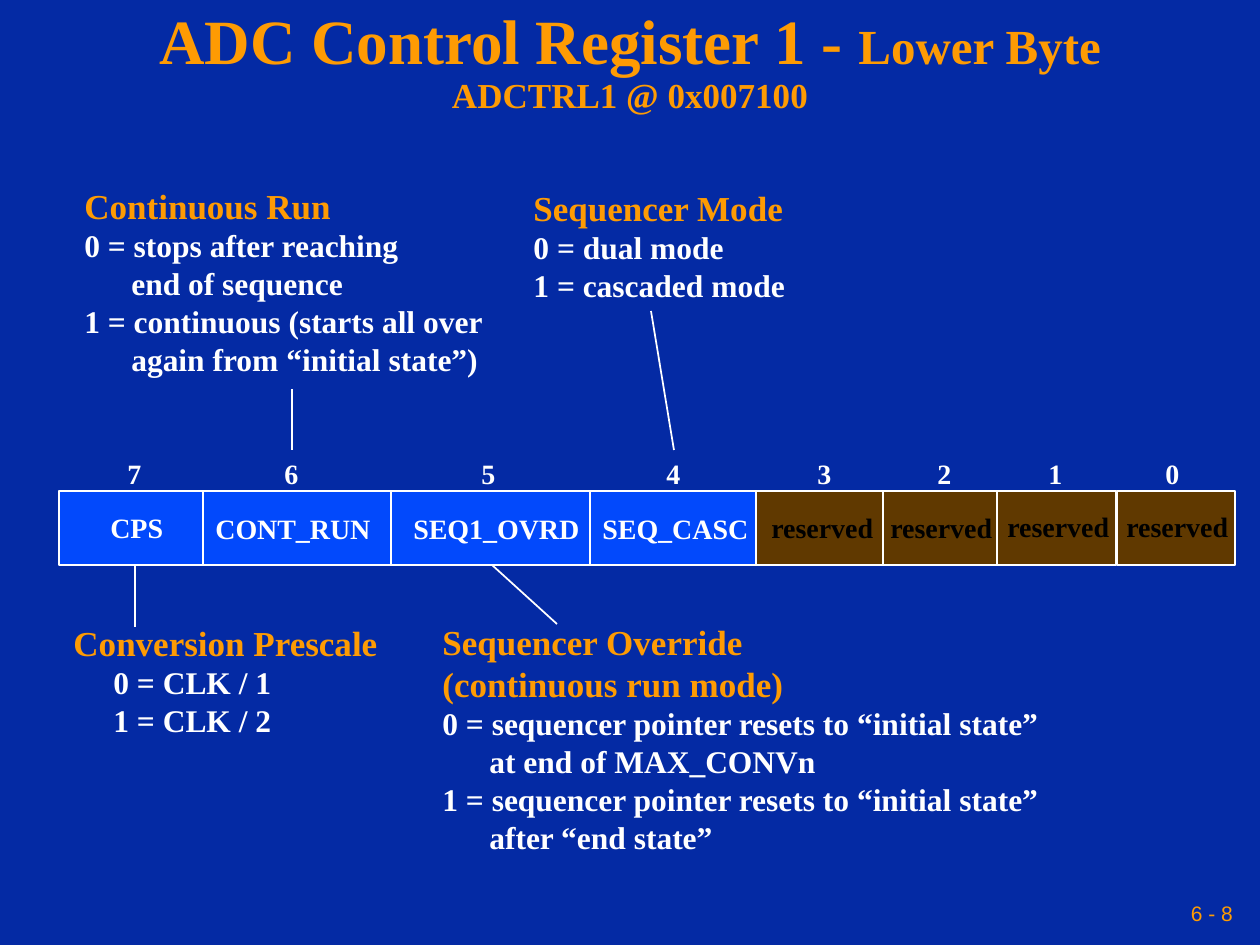
from dataclasses import dataclass

from lxml.etree import SubElement
from pptx import Presentation
from pptx.dml.color import RGBColor
from pptx.enum.shapes import MSO_CONNECTOR as Connector, MSO_SHAPE as Preset
from pptx.enum.text import MSO_ANCHOR as Anchor, MSO_AUTO_SIZE as AutoSize, PP_ALIGN as Align
from pptx.oxml.ns import qn
from pptx.shapes.autoshape import Shape
from pptx.slide import Slide
from pptx.text.text import _Paragraph as Paragraph
from pptx.util import Emu, Pt

PX_PER_INCH = 126
TOP_SIDE = 0


@dataclass(frozen=True)
class Theme:
    background: str = "042AA4"
    accent: str = "FE9B03"
    text: str = "FFFFFF"
    active: str = "0249FC"
    reserved: str = "603900"
    reserved_text: str = "000000"
    font: str = "Times New Roman"
    footer_font: str = "Arial"
    title: int = 36
    suffix: int = 28
    heading: int = 20
    body: int = 18
    label: int = 16
    footer: int = 12


THEME = Theme()


@dataclass(frozen=True)
class Field:
    """One bit of the register; each cell's right end lies under its neighbour or the edge."""
    bit: int
    name: str
    left: int
    width: int
    bit_left: int
    name_left: int
    name_top: int
    name_width: int

    @property
    def is_reserved(self) -> bool:
        return self.name == "reserved"


@dataclass(frozen=True)
class Line:
    text: str
    indent: int = 0


@dataclass(frozen=True)
class Note:
    left: int
    top: int
    width: int
    height: int
    headings: tuple[str, ...]
    lines: tuple[Line, ...]


@dataclass(frozen=True)
class Leader:
    start: tuple[int, int]
    end: tuple[int, int]
    end_bit: int | None = None


ROW_TOP, ROW_HEIGHT = 491, 74
BIT_TOP, BIT_WIDTH, LABEL_HEIGHT = 450, 40, 45
WRAP_INDENT, PRESCALE_INDENT = 47, 40

# Drawn from right to left, so each cell covers the start of the one before it.
FIELDS = (
    Field(0, "reserved", 1117, 118, 1153, 1114, 503, 127),
    Field(1, "reserved", 969, 147, 1036, 995, 503, 127),
    Field(2, "reserved", 850, 147, 925, 878, 504, 127),
    Field(3, "reserved", 736, 147, 805, 759, 504, 127),
    Field(4, "SEQ_CASC", 580, 176, 654, 590, 505, 171),
    Field(5, "SEQ1_OVRD", 353, 237, 469, 401, 505, 192),
    Field(6, "CONT_RUN", 189, 202, 272, 203, 505, 180),
    Field(7, "CPS", 59, 144, 115, 98, 504, 78),
)

NOTES = (
    Note(72, 178, 430, 205, ("Continuous Run",), (
        Line("0 = stops after reaching"),
        Line("end of sequence", WRAP_INDENT),
        Line("1 = continuous (starts all over"),
        Line("again from “initial state”)", WRAP_INDENT))),
    Note(521, 180, 284, 130, ("Sequencer Mode",), (
        Line("0 = dual mode"),
        Line("1 = cascaded mode"))),
    Note(61, 615, 334, 130, ("Conversion Prescale",), (
        Line("0 = CLK / 1", PRESCALE_INDENT),
        Line("1 = CLK / 2", PRESCALE_INDENT))),
    Note(430, 614, 635, 247, ("Sequencer Override", "(continuous run mode)"), (
        Line("0 = sequencer pointer resets to “initial state”"),
        Line("at end of MAX_CONVn", WRAP_INDENT),
        Line("1 = sequencer pointer resets to “initial state”"),
        Line("after “end state”", WRAP_INDENT))),
)

LEADERS = (
    Leader((292, 389), (292, 450), end_bit=6),
    Leader((651, 311), (674, 450), end_bit=4),
    Leader((135, 565), (135, 627)),
    Leader((492, 565), (557, 624)),
)


def px(length: int) -> Emu:
    return Emu(round(length * 914400 / PX_PER_INCH))


def rgb(color: str) -> RGBColor:
    return RGBColor.from_string(color)


def write(para: Paragraph, text: str, *, size: int, color: str = THEME.text,
          font: str = THEME.font, bold: bool = True) -> None:
    span = para.add_run()
    span.text = text
    span.font.size, span.font.name, span.font.bold = Pt(size), font, bold
    span.font.color.rgb = rgb(color)


def add_box(page: Slide, left: int, top: int, width: int, height: int) -> Shape:
    box = page.shapes.add_textbox(px(left), px(top), px(width), px(height))
    box.text_frame.word_wrap = False
    return box


def add_title(page: Slide) -> None:
    title = page.shapes.title
    title.left, title.top, title.width, title.height = px(0), px(21), px(1260), px(84)
    frame = title.text_frame
    frame.vertical_anchor, frame.auto_size, frame.word_wrap = Anchor.MIDDLE, AutoSize.NONE, True
    para = frame.paragraphs[0]
    para.alignment, para.line_spacing = Align.CENTER, 0.9
    write(para, "ADC Control Register 1 - ", size=THEME.title, color=THEME.accent)
    write(para, "Lower Byte", size=THEME.suffix, color=THEME.accent)
    para.add_line_break()
    SubElement(para._p[-1], qn("a:rPr"), sz=str(THEME.suffix * 100))
    write(para, "ADCTRL1 @ 0x007100", size=THEME.heading, color=THEME.accent)


def add_cell(page: Slide, field: Field) -> None:
    cell = page.shapes.add_shape(Preset.RECTANGLE, px(field.left), px(ROW_TOP),
                                 px(field.width), px(ROW_HEIGHT))
    cell.shadow.inherit = False
    cell.fill.solid()
    cell.fill.fore_color.rgb = rgb(THEME.reserved if field.is_reserved else THEME.active)
    cell.line.color.rgb, cell.line.width = rgb(THEME.text), Pt(1)


def add_labels(page: Slide, field: Field) -> Shape:
    """Write the field's name and bit number, and return the number's box."""
    name = add_box(page, field.name_left, field.name_top, field.name_width, LABEL_HEIGHT)
    write(name.text_frame.paragraphs[0], field.name, size=THEME.label,
          color=THEME.reserved_text if field.is_reserved else THEME.text)
    number = add_box(page, field.bit_left, BIT_TOP, BIT_WIDTH, LABEL_HEIGHT)
    write(number.text_frame.paragraphs[0], str(field.bit), size=THEME.label)
    return number


def add_note(page: Slide, note: Note) -> None:
    frame = add_box(page, note.left, note.top, note.width, note.height).text_frame
    rows = [(Line(text), THEME.heading, THEME.accent) for text in note.headings]
    rows += [(line, THEME.body, THEME.text) for line in note.lines]
    for index, (line, size, color) in enumerate(rows):
        para = frame.add_paragraph() if index else frame.paragraphs[0]
        if line.indent:
            para._p.get_or_add_pPr().set("marL", str(px(line.indent)))
        write(para, line.text, size=size, color=color)


def add_leader(page: Slide, leader: Leader, numbers: dict[int, Shape]) -> None:
    line = page.shapes.add_connector(Connector.STRAIGHT, *map(px, leader.start + leader.end))
    line.line.color.rgb, line.line.width = rgb(THEME.text), Pt(1)
    SubElement(line._element.spPr, qn("a:effectLst"))
    if leader.end_bit is not None:
        line.end_connect(numbers[leader.end_bit], TOP_SIDE)


def add_page_number(page: Slide) -> None:
    frame = add_box(page, 861, 892, 378, 42).text_frame
    frame.vertical_anchor = Anchor.MIDDLE
    frame.margin_left = frame.margin_right = px(6)
    para = frame.paragraphs[0]
    para.alignment = Align.RIGHT
    write(para, "6 - 8", size=THEME.footer, color=THEME.accent,
          font=THEME.footer_font, bold=False)


def main() -> None:
    deck = Presentation()
    deck.slide_width, deck.slide_height = px(1260), px(945)
    page = deck.slides.add_slide(deck.slide_layouts[5])
    page.background.fill.solid()
    page.background.fill.fore_color.rgb = rgb(THEME.background)
    add_title(page)
    for field in FIELDS:
        add_cell(page, field)
    numbers = {field.bit: add_labels(page, field) for field in FIELDS}
    for note in NOTES:
        add_note(page, note)
    for leader in LEADERS:
        add_leader(page, leader, numbers)
    add_page_number(page)
    deck.save("out.pptx")


if __name__ == "__main__":
    main()
